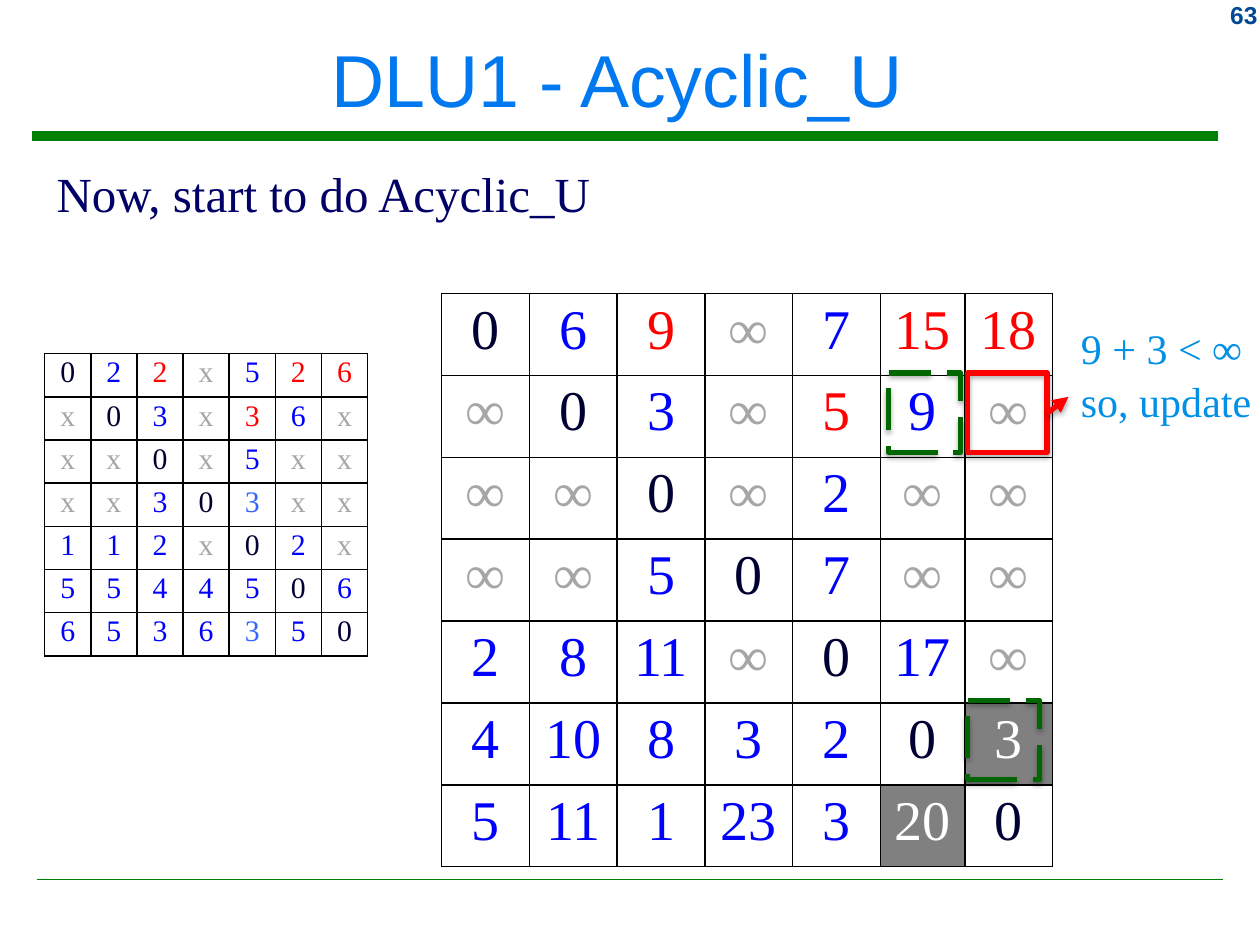
from lxml.etree import SubElement
from pptx import Presentation
from pptx.dml.color import RGBColor
from pptx.enum.dml import MSO_LINE
from pptx.enum.shapes import MSO_CONNECTOR, MSO_SHAPE
from pptx.enum.text import MSO_ANCHOR, PP_ALIGN
from pptx.oxml import parse_xml
from pptx.oxml.ns import nsdecls, qn
from pptx.util import Cm, Pt

# Content
TITLE = "DLU1 - Acyclic_U "
PAGE = "63"
HEADING = "Now, start to do Acyclic_U"
NOTE = ["9 + 3 < ∞", "so, update"]
WEIGHTS = [
    "0 2 2 x 5 2 6",
    "x 0 3 x 3 6 x",
    "x x 0 x 5 x x",
    "x x 3 0 3 x x",
    "1 1 2 x 0 2 x",
    "5 5 4 4 5 0 6",
    "6 5 3 6 3 5 0",
]
DISTANCES = [
    "0 6 9 ∞ 7 15 18",
    "∞ 0 3 ∞ 5 9 ∞",
    "∞ ∞ 0 ∞ 2 ∞ ∞",
    "∞ ∞ 5 0 7 ∞ ∞",
    "2 8 11 ∞ 0 17 ∞",
    "4 10 8 3 2 0 3",
    "5 11 1 23 3 20 0",
]
# Cells as (row, column)
PATH_CELLS = {(0, 2), (0, 5), (0, 6), (1, 4)}
LIGHT_CELLS = {(3, 4), (6, 4)}
SHADED_CELLS = {(5, 6), (6, 5)}

THEME = {
    "sans": "Arial", "serif": "Times New Roman",
    "title": "0078F0", "page": "004992", "heading": "000066", "note": "0090E5",
    "rule": "008000", "zero": "000033", "number": "0000FF", "light": "3366FF",
    "none": "A6A6A6", "path": "FF0000", "white": "FFFFFF", "shade": "808080",
    "border": "000000", "update": "FF0000", "compare": "006600",
    "title_pt": 42, "page_pt": 14, "heading_pt": 28, "note_pt": 24,
    "weights_pt": 17, "distances_pt": 32,
}

# Big grid geometry, in cm
GRID_LEFT, GRID_TOP, GRID_ROW = 8.9, 5.92, 1.65
GRID_COLS = [1.77] * 5 + [1.7, 1.77]


def rgb(name):
    return RGBColor.from_string(THEME[name])


def put_text(tf, text, *, size, color, font="serif", bold=False,
             align=PP_ALIGN.LEFT, spacing=None):
    lines = [text] if isinstance(text, str) else text
    for i, line in enumerate(lines):
        p = tf.paragraphs[0] if i == 0 else tf.add_paragraph()
        p.alignment = align
        p.line_spacing = spacing
        r = p.add_run()
        r.text = line
        r.font.name = THEME[font]
        r.font.size = Pt(THEME[size])
        r.font.bold = bold
        r.font.color.rgb = rgb(color)


def add_text(slide, box, text, **fmt):
    tf = slide.shapes.add_textbox(*map(Cm, box)).text_frame
    tf.word_wrap = False
    put_text(tf, text, **fmt)


def set_effects(s, shadow):
    spPr = s._element.spPr
    for old in spPr.findall(qn("a:effectLst")):
        spPr.remove(old)
    inner = ""
    if shadow:
        inner = ('<a:outerShdw blurRad="40000" dist="22000" dir="5400000" rotWithShape="0">'
                 '<a:srgbClr val="000000"><a:alpha val="35000"/></a:srgbClr></a:outerShdw>')
    spPr.append(parse_xml(f'<a:effectLst {nsdecls("a")}>{inner}</a:effectLst>'))


def add_line(slide, ends, color, width, arrow=False):
    s = slide.shapes.add_connector(MSO_CONNECTOR.STRAIGHT, *map(Cm, ends))
    s.line.color.rgb = rgb(color)
    s.line.width = Pt(width)
    if arrow:
        SubElement(s.line._get_or_add_ln(), qn("a:tailEnd"), type="triangle")
    set_effects(s, shadow=arrow)


def add_frame(slide, row, col, dx, width, color, dash=None):
    left = GRID_LEFT + sum(GRID_COLS[:col]) + dx
    top = GRID_TOP + row * GRID_ROW - 0.05
    s = slide.shapes.add_shape(MSO_SHAPE.RECTANGLE, Cm(left), Cm(top), Cm(width), Cm(1.6))
    s.fill.background()
    s.line.color.rgb = rgb(color)
    s.line.width = Pt(3)
    if dash:
        s.line.dash_style = dash
    set_effects(s, shadow=True)


def add_borders(cell):
    tcPr = cell._tc.get_or_add_tcPr()
    for i, side in enumerate(("lnL", "lnR", "lnT", "lnB")):
        tcPr.insert(i, parse_xml(
            f'<a:{side} {nsdecls("a")} w="12700"><a:solidFill>'
            f'<a:srgbClr val="{THEME["border"]}"/></a:solidFill></a:{side}>'))


def cell_color(value, at, light, shaded):
    if at in shaded:
        return "white"
    if value in ("x", "∞"):
        return "none"
    if value == "0":
        return "zero"
    if at in PATH_CELLS:
        return "path"
    return "light" if at in light else "number"


def add_matrix(slide, rows, left, top, cols, row_height, *, size, margins,
               light=(), shaded=()):
    frame = slide.shapes.add_table(len(rows), len(cols), Cm(left), Cm(top),
                                   Cm(sum(cols)), Cm(row_height * len(rows)))
    table = frame.table
    table.first_row = table.horz_banding = False
    for col, width in zip(table.columns, cols):
        col.width = Cm(width)
    for i, line in enumerate(rows):
        table.rows[i].height = Cm(row_height)
        for j, value in enumerate(line.split()):
            cell = table.cell(i, j)
            cell.margin_left = cell.margin_right = Cm(margins[0])
            cell.margin_top = cell.margin_bottom = Cm(margins[1])
            cell.fill.solid()
            cell.fill.fore_color.rgb = rgb("shade" if (i, j) in shaded else "white")
            add_borders(cell)
            put_text(cell.text_frame, value, size=size, align=PP_ALIGN.CENTER,
                     color=cell_color(value, (i, j), light, shaded))


def main():
    prs = Presentation()
    prs.slide_width, prs.slide_height = Cm(25.4), Cm(19.05)
    slide = prs.slides.add_slide(prs.slide_layouts[5])

    # Rules and page number
    add_line(slide, (0.64, 2.74, 24.56, 2.74), "rule", 5.25)
    add_line(slide, (0.74, 17.73, 24.66, 17.73), "rule", 1)
    add_text(slide, (23.29, -0.13, 2.31, 0.84), PAGE, size="page_pt", color="page",
             font="sans", bold=True, align=PP_ALIGN.RIGHT)

    # Title and heading
    title = slide.shapes.title
    title.left, title.top, title.width, title.height = map(Cm, (0.2, 0.23, 24.89, 2.69))
    title.text_frame.vertical_anchor = MSO_ANCHOR.MIDDLE
    put_text(title.text_frame, TITLE, size="title_pt", color="title", font="sans",
             align=PP_ALIGN.CENTER)
    add_text(slide, (0.89, 3.12, 11.43, 1.45), HEADING, size="heading_pt",
             color="heading", spacing=1.05)

    # Weight and distance matrices
    add_matrix(slide, WEIGHTS, 0.9, 7.13, [0.93] * 7, 0.87, size="weights_pt",
               margins=(0.13, 0.05), light=LIGHT_CELLS)
    add_matrix(slide, DISTANCES, GRID_LEFT, GRID_TOP, GRID_COLS, GRID_ROW,
               size="distances_pt", margins=(0.23, 0.11), shaded=SHADED_CELLS)

    # Updated cell with its note, and the two cells compared
    add_frame(slide, 1, 6, 0.06, 1.6, "update")
    add_line(slide, (21.11, 8.33, 21.54, 8), "update", 3, arrow=True)
    add_text(slide, (21.54, 6.32, 3.99, 3.33), NOTE, size="note_pt", color="note",
             spacing=1.05)
    add_frame(slide, 1, 5, 0.16, 1.45, "compare", MSO_LINE.LONG_DASH)
    add_frame(slide, 5, 6, 0.06, 1.45, "compare", MSO_LINE.LONG_DASH)

    prs.save("out.pptx")


if __name__ == "__main__":
    main()
